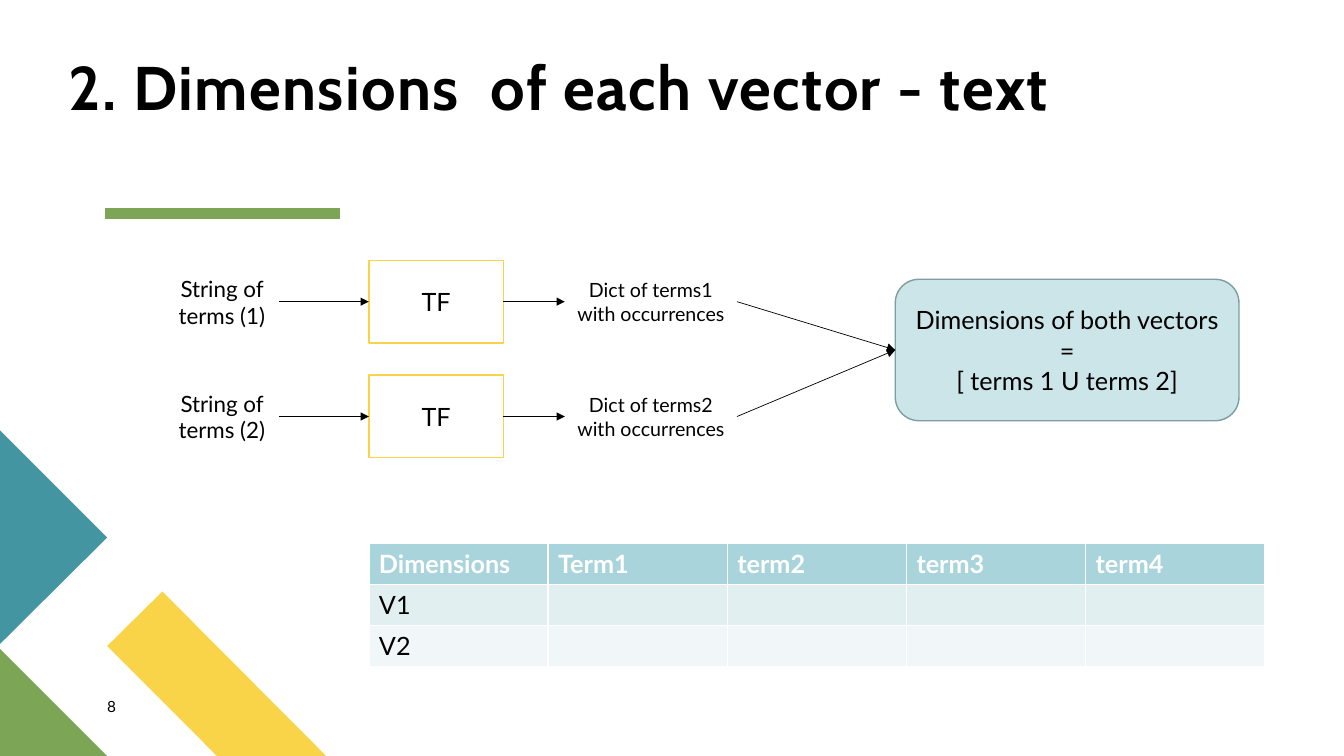
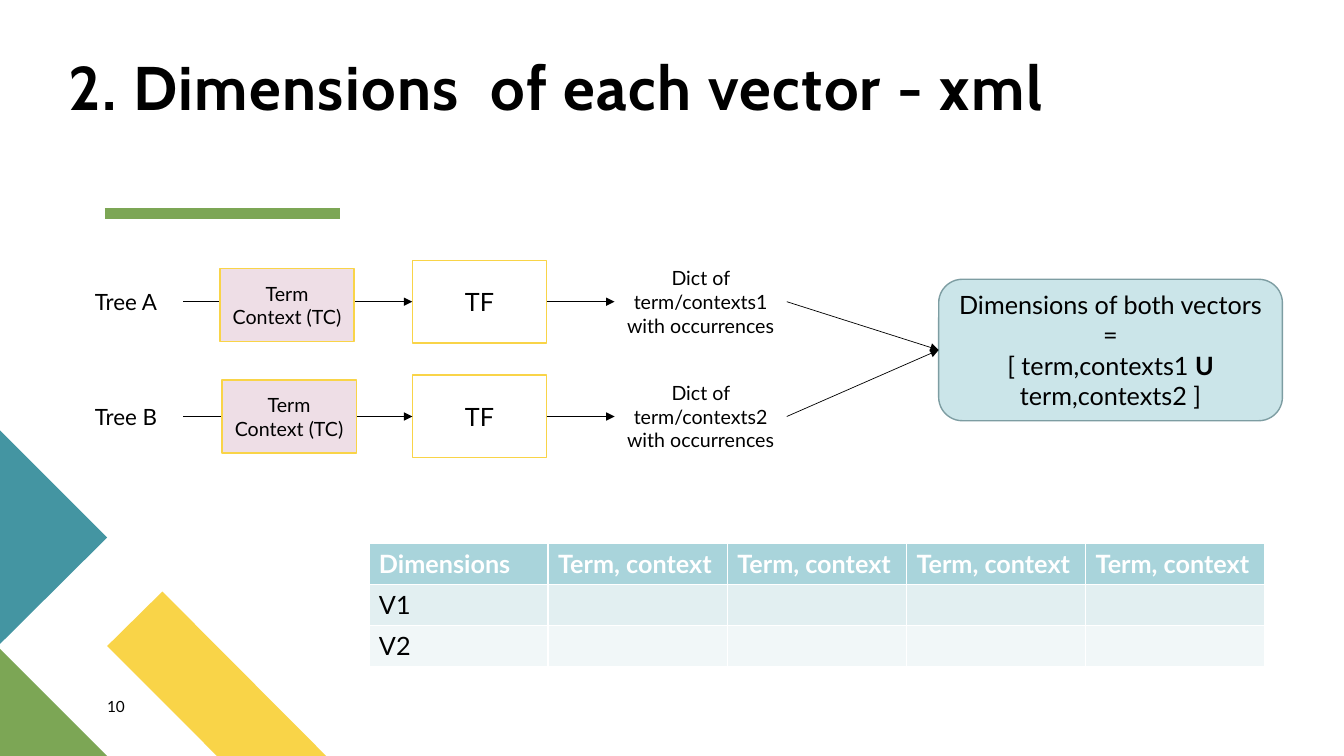
from pptx import Presentation
from pptx.dml.color import RGBColor
from pptx.enum import shapes as kinds, text as txt
from pptx.oxml.ns import qn
from pptx.util import Pt
from lxml import etree

HUES = {
    "ink": "000000", "white": "FFFFFF", "teal": "4495A2", "green": "7CA655",
    "gold": "F9D448", "pale": "CBE5E9", "edge": "7D9DA2", "pink": "EEDEE6",
    "head": "A9D4DB", "odd": "E2EFF1", "even": "F1F7F8",
}
HEAD_FONT, BODY_FONT = "Cabin", "Lato"
CORNER = [  # shapes in the lower left corner: colour, outline
    ("gold", [(233, 540), (155, 540), (76.5, 461.5), (116, 422.5)]),
    ("green", [(76.5, 540), (0, 540), (0, 463.5)]),
    ("teal", [(0, 307.5), (76.5, 384), (0, 460)]),
]
ROWS = [215.5, 297.5]  # middle of each flow row

# In "goal", text between asterisks is bold
SLIDES = [
    {
        "title": "2. Dimensions  of each vector - text", "page": "8",
        "left": {"source": 117.5, "tf": 263.5, "dict": 403.5, "goal": 639.5},
        "sources": ["String of terms (1)", "String of terms (2)"],
        "dicts": ["Dict of terms1 with occurrences",
                  "Dict of terms2 with occurrences"],
        "goal": ["Dimensions of both vectors", "=", "[ terms 1 U terms 2]"],
        "heads": ["Dimensions", "Term1", "term2", "term3", "term4"],
        "contexts": [],
    },
    {
        "title": "2. Dimensions  of each vector - xml", "page": "10",
        "left": {"source": 49, "tf": 294.5, "dict": 439, "goal": 670.5},
        "sources": ["Tree A", "Tree B"],
        "dicts": ["Dict of term/contexts1 with occurrences",
                  "Dict of term/contexts2 with occurrences"],
        "goal": ["Dimensions of both vectors", "=",
                 "[ term,contexts1 *U* term,contexts2 ]"],
        "heads": ["Dimensions"] + ["Term, context"] * 4,
        "contexts": [(157, 218), (158.5, 297.5)],  # left, middle
    },
]
VECTORS = ["V1", "V2"]


def rgb(name):
    return RGBColor.from_string(HUES[name])


def style(run, size, hue="ink", bold=False, face=BODY_FONT):
    font = run.font
    font.name, font.size, font.bold = face, Pt(size), bold
    font.color.rgb = rgb(hue)


def write(frame, lines, size, align=txt.PP_ALIGN.CENTER):
    frame.word_wrap = True
    for i, line in enumerate(lines):
        par = frame.paragraphs[0] if i == 0 else frame.add_paragraph()
        par.alignment = align
        for j, part in enumerate(line.split("*")):
            run = par.add_run()
            run.text = part
            style(run, size, bold=j % 2 == 1)


def add_box(slide, left, mid, wide, high, lines, size, fill=None, edge="gold",
            kind=kinds.MSO_SHAPE.RECTANGLE):
    """Add a box centred on height mid; without a fill it is a plain text box."""
    place = Pt(left), Pt(mid - high / 2), Pt(wide), Pt(high)
    if fill:
        box = slide.shapes.add_shape(kind, *place)
        box.shadow.inherit = False
        box.fill.solid()
        box.fill.fore_color.rgb = rgb(fill)
        box.line.color.rgb = rgb(edge)
        box.line.width = Pt(1)
    else:
        box = slide.shapes.add_textbox(*place)
    box.text_frame.vertical_anchor = txt.MSO_ANCHOR.MIDDLE
    write(box.text_frame, lines, size)
    return box


def add_line(slide, start, end, hue, width):
    line = slide.shapes.add_connector(
        kinds.MSO_CONNECTOR.STRAIGHT, *map(Pt, start + end))
    line.line.color.rgb = rgb(hue)
    line.line.width = Pt(width)
    etree.SubElement(line.element.spPr, qn("a:effectLst"))
    return line


def join(slide, first, last):
    """Draw an arrow from the right side of one box to the left of the next."""
    line = add_line(slide, (0, 0), (1, 1), "ink", 0.5)
    line.begin_connect(first, 3)
    line.end_connect(last, 1)
    etree.SubElement(line.line._get_or_add_ln(), qn("a:tailEnd"), type="triangle")


def clear(frame):
    frame.margin_left = frame.margin_right = 0
    frame.margin_top = frame.margin_bottom = 0


def set_layout(layout, slide):
    """Place the title and move the shared decoration from slide to layout."""
    title = layout.placeholders[0]
    title.left, title.top, title.width, title.height = map(Pt, (49, 40.5, 766, 48))
    frame = title.text_frame
    clear(frame)
    frame.vertical_anchor = txt.MSO_ANCHOR.BOTTOM
    frame.auto_size = txt.MSO_AUTO_SIZE.NONE
    decor = []
    for hue, points in CORNER:
        pen = slide.shapes.build_freeform(*map(Pt, points[0]))
        pen.add_line_segments([(Pt(x), Pt(y)) for x, y in points[1:]], close=True)
        shape = pen.convert_to_shape()
        shape.shadow.inherit = False
        shape.fill.solid()
        shape.fill.fore_color.rgb = rgb(hue)
        shape.line.fill.background()
        decor.append(shape)
    decor.append(add_line(slide, (75, 152.5), (243, 152.5), "green", 8))
    for shape in decor:
        layout.shapes.element.append(shape.element)


def add_title(slide, words):
    par = slide.shapes.title.text_frame.paragraphs[0]
    par.text = words
    par.alignment = txt.PP_ALIGN.LEFT
    par.line_spacing = 0.9
    run = par.runs[0]
    style(run, 44, bold=True, face=HEAD_FONT)
    run.font._element.set("spc", "100")


def add_page(slide, number):
    box = slide.shapes.add_textbox(Pt(76.5), Pt(498), Pt(41), Pt(19.5))
    clear(box.text_frame)
    write(box.text_frame, [number], 11, txt.PP_ALIGN.LEFT)


def add_flow(slide, data):
    left = data["left"]
    goal = add_box(slide, left["goal"], 250, 245.5, 101, data["goal"], 18,
                   "pale", "edge", kinds.MSO_SHAPE.ROUNDED_RECTANGLE)
    for mid, source, result in zip(ROWS, data["sources"], data["dicts"]):
        chain = [
            add_box(slide, left["source"], mid, 82, 46, [source], 16),
            add_box(slide, left["tf"], mid, 96, 59, ["TF"], 18, "white"),
            add_box(slide, left["dict"], mid, 123, 58, [result], 14),
            goal,
        ]
        for first, last in zip(chain, chain[1:]):
            join(slide, first, last)
    for x, mid in data["contexts"]:
        add_box(slide, x, mid, 96, 52, ["Term Context (TC)"], 14, "pink")


def add_grid(slide, heads):
    rows = [heads] + [[name] + [""] * (len(heads) - 1) for name in VECTORS]
    table = slide.shapes.add_table(
        len(rows), len(heads), Pt(263.5), Pt(388.5), Pt(640), Pt(87.9)).table
    for i, (row, fill) in enumerate(zip(rows, ("head", "odd", "even"))):
        for j, words in enumerate(row):
            cell = table.cell(i, j)
            cell.fill.solid()
            cell.fill.fore_color.rgb = rgb(fill)
            if words:
                cell.text_frame.text = words
                style(cell.text_frame.paragraphs[0].runs[0], 18,
                      "ink" if i else "white", bold=i == 0)


def main():
    deck = Presentation()
    deck.slide_width, deck.slide_height = Pt(960), Pt(540)
    layout = deck.slide_layouts[5]
    for i, data in enumerate(SLIDES):
        slide = deck.slides.add_slide(layout)
        if i == 0:
            set_layout(layout, slide)
        add_title(slide, data["title"])
        add_page(slide, data["page"])
        add_flow(slide, data)
        add_grid(slide, data["heads"])
    deck.save("out.pptx")


if __name__ == "__main__":
    main()
